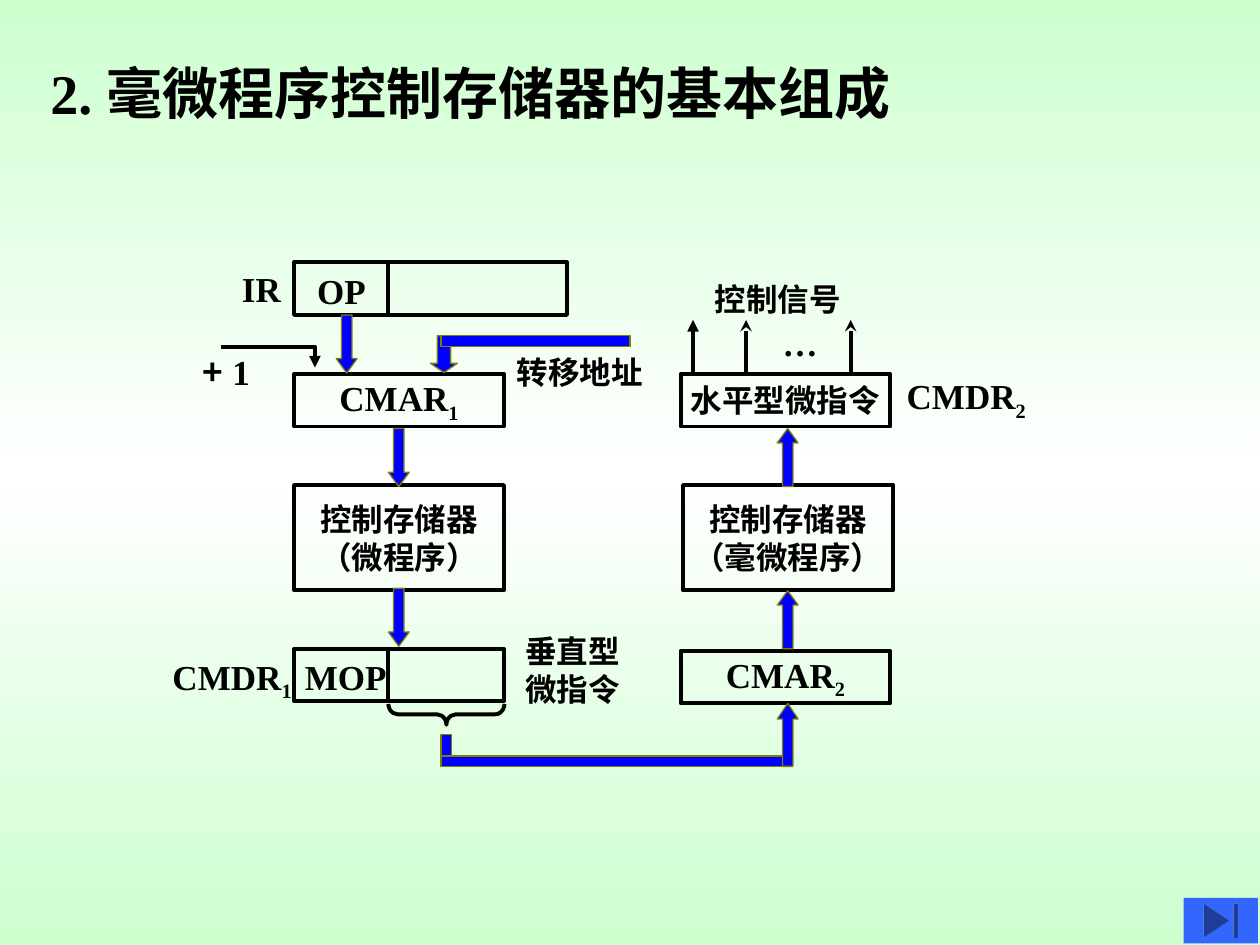
from copy import deepcopy
from dataclasses import dataclass

from pptx import Presentation
from pptx.dml.color import RGBColor
from pptx.enum.shapes import MSO_CONNECTOR, MSO_SHAPE
from pptx.enum.text import MSO_ANCHOR, PP_ALIGN
from pptx.oxml.ns import qn
from pptx.oxml.xmlchemy import OxmlElement
from pptx.util import Cm, Pt


@dataclass(frozen=True)
class Theme:
    ink: RGBColor = RGBColor(0x00, 0x00, 0x00)
    flow: RGBColor = RGBColor(0x00, 0x00, 0xFF)
    flow_edge: RGBColor = RGBColor(0x80, 0x80, 0x00)
    button: RGBColor = RGBColor(0x33, 0x66, 0xFF)
    backdrop_edge: RGBColor = RGBColor(0xCD, 0xFF, 0xCE)
    backdrop_middle: RGBColor = RGBColor(0xFF, 0xFF, 0xFF)
    latin_font: str = "Times New Roman"
    chinese_font: str = "DejaVu Sans"
    symbol_font: str = "Noto Sans CJK SC"
    title_size: float = 32
    gap_size: float = 8
    latin_size: float = 20
    chinese_size: float = 18
    line_width: float = 2.25
    edge_width: float = 0.75


THEME = Theme()


@dataclass(frozen=True)
class Piece:
    text: str
    size: float = THEME.latin_size
    font: str = THEME.latin_font
    subscript: bool = False


Line = tuple[Piece, ...]


@dataclass(frozen=True)
class Block:
    """A box in centimetres with centred lines of text."""
    left: float
    top: float
    width: float
    height: float
    lines: tuple[Line, ...] = ()

    def frame(self) -> tuple[Cm, Cm, Cm, Cm]:
        return Cm(self.left), Cm(self.top), Cm(self.width), Cm(self.height)


def latin(text: str, index: str = "") -> tuple[Line, ...]:
    pieces = (Piece(text),)
    return (pieces + (Piece(index, subscript=True),) if index else pieces,)


def chinese(*texts: str) -> tuple[Line, ...]:
    return tuple((Piece(text, THEME.chinese_size),) for text in texts)


def write_pieces(paragraph, pieces: Line) -> None:
    for piece in pieces:
        run = paragraph.add_run()
        run.text = piece.text
        run.font.size = Pt(piece.size)
        run.font.bold = True
        run.font.color.rgb = THEME.ink
        run.font.name = piece.font
        properties = run._r.get_or_add_rPr()
        east_asian = OxmlElement("a:ea")
        east_asian.set("typeface", THEME.chinese_font)
        properties.find(qn("a:latin")).addnext(east_asian)
        if piece.subscript:
            properties.set("baseline", "-25000")


def write_lines(shape, lines: tuple[Line, ...]) -> None:
    text_frame = shape.text_frame
    text_frame.word_wrap = False
    text_frame.margin_left = text_frame.margin_right = 0
    text_frame.vertical_anchor = MSO_ANCHOR.MIDDLE
    for number, pieces in enumerate(lines):
        paragraph = text_frame.add_paragraph() if number else text_frame.paragraphs[0]
        paragraph.alignment = PP_ALIGN.CENTER
        write_pieces(paragraph, pieces)


def stroke(shape, arrowhead: str = "") -> None:
    shape.line.color.rgb = THEME.ink
    shape.line.width = Pt(THEME.line_width)
    if arrowhead:
        tail = OxmlElement("a:tailEnd")
        tail.set("type", arrowhead)
        shape._element.spPr.find(qn("a:ln")).append(tail)


def draw_label(slide, block: Block) -> None:
    write_lines(slide.shapes.add_textbox(*block.frame()), block.lines)


def draw_outline(slide, block: Block, kind=MSO_SHAPE.RECTANGLE):
    shape = slide.shapes.add_shape(kind, *block.frame())
    shape.shadow.inherit = False
    shape.fill.background()
    stroke(shape)
    if block.lines:
        write_lines(shape, block.lines)
    return shape


def draw_flow(slide, block: Block, kind=MSO_SHAPE.RECTANGLE, head: float = 0.69) -> None:
    """Draw a blue bar or block arrow; head is head length over arrow width."""
    shape = slide.shapes.add_shape(kind, *block.frame())
    shape.shadow.inherit = False
    shape.fill.solid()
    shape.fill.fore_color.rgb = THEME.flow
    shape.line.color.rgb = THEME.flow_edge
    shape.line.width = Pt(THEME.edge_width)
    if kind != MSO_SHAPE.RECTANGLE:
        shape.adjustments[0] = 0.5
        shape.adjustments[1] = head


def draw_vertical(slide, x: float, start: float, end: float, arrowhead: str = "") -> None:
    connector = slide.shapes.add_connector(
        MSO_CONNECTOR.STRAIGHT, Cm(x), Cm(start), Cm(x), Cm(end))
    stroke(connector, arrowhead)
    connector._element.spPr.append(OxmlElement("a:effectLst"))


def paint_background(slide) -> None:
    fill = slide.background.fill
    fill.gradient()
    fill.gradient_angle = 90
    first = slide._element.find(".//" + qn("a:gs"))
    first.addnext(deepcopy(first))
    colors = (THEME.backdrop_edge, THEME.backdrop_middle, THEME.backdrop_edge)
    for number, (stop, color) in enumerate(zip(fill.gradient_stops, colors)):
        stop.position = number / 2
        stop.color.rgb = color


def draw_title(slide) -> None:
    title = slide.shapes.title
    title.left, title.top, title.width, title.height = Block(0.76, 1.04, 20.4, 1.63).frame()
    title.text_frame.word_wrap = True
    title.text_frame.vertical_anchor = MSO_ANCHOR.MIDDLE
    paragraph = title.text_frame.paragraphs[0]
    paragraph.alignment = PP_ALIGN.LEFT
    write_pieces(paragraph, (
        Piece("2.", THEME.title_size),
        Piece("　", THEME.gap_size),
        Piece("毫微程序控制存储器的基本组成", THEME.title_size, THEME.chinese_font)))


LEFT, RIGHT, DIVIDER = 5.93, 13.72, 7.83
WIDTH, REGISTER, STORE = 4.23, 1.06, 2.12
SHAFT, BAR, DROP = 0.42, 0.21, 1.17

OUTLINES = (
    Block(LEFT, 5.29, 5.5, REGISTER),
    Block(LEFT, 7.54, WIDTH, REGISTER, latin("CMAR", "1")),
    Block(LEFT, 9.78, WIDTH, STORE, chinese("控制存储器", "（微程序）")),
    Block(LEFT, 13.08, WIDTH, REGISTER),
    Block(RIGHT, 7.54, WIDTH, REGISTER, chinese("水平型微指令")),
    Block(RIGHT + 0.05, 9.78, WIDTH, STORE, chinese("控制存储器", "（毫微程序）")),
    Block(RIGHT, 13.12, WIDTH, REGISTER, latin("CMAR", "2")),
)
LABELS = (
    Block(4.62, 5.26, 1.3, 1.12, latin("IR")),
    Block(6.15, 5.29, 1.47, 1.12, latin("OP")),
    Block(5.89, 13.08, 2.16, 1.12, latin("MOP")),
    Block(3.84, 6.93, 1.45, 1.12, ((Piece("+", font=THEME.symbol_font), Piece(" 1")),)),
    Block(10.16, 6.99, 3.05, 1.02, chinese("转移地址")),
    Block(10.34, 12.62, 2.41, 1.78, chinese("垂直型", "微指令")),
    Block(3.23, 13.08, 2.9, 1.22, latin("CMDR", "1")),
    Block(18.03, 7.42, 2.9, 1.22, latin("CMDR", "2")),
    Block(15.52, 6.35, 1.22, 1.12, latin("…")),
    Block(14.15, 5.51, 3.05, 1.02, chinese("控制信号")),
)
DOWN_ARROWS = ((6.78, 6.35), (DIVIDER, 8.64), (DIVIDER, 11.86))
UP_ARROWS = (8.64, 11.91)
UP_LEFT = 15.67
SIGNALS = ((13.97, "triangle"), (15.04, "stealth"), (17.15, "stealth"))


def main() -> None:
    presentation = Presentation()
    presentation.slide_width, presentation.slide_height = Cm(25.4), Cm(19.05)
    slide = presentation.slides.add_slide(presentation.slide_layouts[5])
    paint_background(slide)
    draw_title(slide)

    for block in OUTLINES:
        draw_outline(slide, block)
    for top in (5.29, 13.08):
        draw_vertical(slide, DIVIDER, top, top + REGISTER)
    brace = draw_outline(slide, Block(8.79, 13.23, SHAFT, 2.34), MSO_SHAPE.LEFT_BRACE)
    brace.rotation = 270
    brace.adjustments[0] = 0.45

    for left, top in DOWN_ARROWS:
        draw_flow(slide, Block(left, top, SHAFT, DROP), MSO_SHAPE.DOWN_ARROW)
    for top in UP_ARROWS:
        draw_flow(slide, Block(UP_LEFT, top, SHAFT, DROP), MSO_SHAPE.UP_ARROW)
    draw_flow(slide, Block(8.68, 6.77, 0.54, 0.74), MSO_SHAPE.DOWN_ARROW, 0.34)
    for bar in ((8.89, 6.77, 3.81, BAR), (8.89, 14.81, BAR, 0.64), (8.89, 15.24, 6.99, BAR)):
        draw_flow(slide, Block(*bar))
    draw_flow(slide, Block(UP_LEFT, 14.18, SHAFT, 1.27), MSO_SHAPE.UP_ARROW, 0.75)

    builder = slide.shapes.build_freeform(Cm(4.45), Cm(6.99))
    builder.add_line_segments([(Cm(6.35), Cm(6.99)), (Cm(6.35), Cm(7.41))], close=False)
    increment = builder.convert_to_shape()
    increment.shadow.inherit = False
    increment.fill.background()
    stroke(increment, "triangle")

    for x, arrowhead in SIGNALS:
        draw_vertical(slide, x, 7.52, 6.45, arrowhead)
    for block in LABELS:
        draw_label(slide, block)

    button = slide.shapes.add_shape(
        MSO_SHAPE.ACTION_BUTTON_END, *Block(23.86, 18.1, 1.5, 0.92).frame())
    button.shadow.inherit = False
    button.fill.solid()
    button.fill.fore_color.rgb = THEME.button
    button.line.fill.background()
    presentation.save("out.pptx")


if __name__ == "__main__":
    main()
